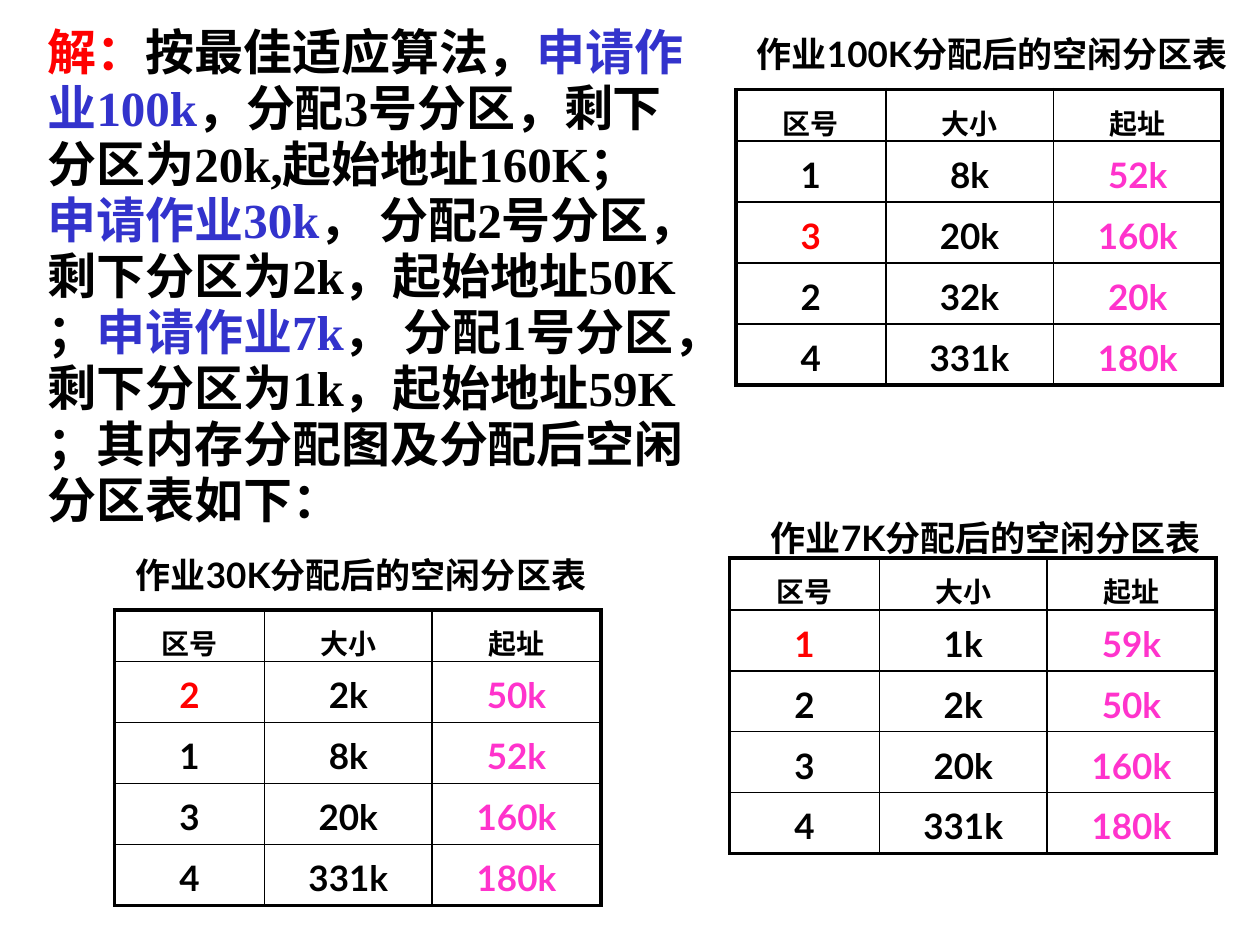
from lxml import etree
from pptx import Presentation
from pptx.dml.color import RGBColor
from pptx.enum import text
from pptx.oxml.ns import qn
from pptx.util import Inches, Pt

COLORS = {"black": "000000", "red": "FF0000", "blue": "3333CC", "pink": "FF33CC"}

SOLUTION = [
    ("解：", "red"),
    ("按最佳适应算法，", "black"),
    ("申请作业100k", "blue"),
    ("，分配3号分区，剩下分区为20k,起始地址160K；", "black"),
    (" 申请作业30k", "blue"),
    ("， 分配2号分区，剩下分区为2k，起始地址50K ；", "black"),
    ("申请作业7k", "blue"),
    ("， 分配1号分区，剩下分区为1k，起始地址59K ；"
     "其内存分配图及分配后空闲分区表如下：", "black"),
]

HEADER = ("区号", "大小", "起址")
# "changed" is the number of the partition that has just been split
FREE_TABLES = [
    {"title": "作业100K分配后的空闲分区表", "title_at": (5.63, 0.21),
     "table_at": (5.84, 0.71), "changed": "3",
     "rows": [("1", "8k", "52k"), ("3", "20k", "160k"),
              ("2", "32k", "20k"), ("4", "331k", "180k")]},
    {"title": "作业30K分配后的空闲分区表", "title_at": (0.62, 4.34),
     "table_at": (0.91, 4.84), "changed": "2",
     "rows": [("2", "2k", "50k"), ("1", "8k", "52k"),
              ("3", "20k", "160k"), ("4", "331k", "180k")]},
    {"title": "作业7K分配后的空闲分区表", "title_at": (5.58, 4.05),
     "table_at": (5.79, 4.43), "changed": "1",
     "rows": [("1", "1k", "59k"), ("2", "2k", "50k"),
              ("3", "20k", "160k"), ("4", "331k", "180k")]},
]
COLUMN_WIDTHS = (1.19, 1.33, 1.34)
HEADER_HEIGHT, ROW_HEIGHT = 0.41, 0.48
OUTER_LINE, INNER_LINE = 2.25, 1


def add_run(paragraph, words, size, color="black", font="Lato"):
    run = paragraph.add_run()
    run.text = words
    run.font.name = font
    run.font.size = Pt(size)
    run.font.bold = True
    run.font.color.rgb = RGBColor.from_string(COLORS[color])


def add_text_box(slide, left, top, width, height):
    """Add a wrapping text box and return its first paragraph."""
    box = slide.shapes.add_textbox(*map(Inches, (left, top, width, height)))
    box.text_frame.word_wrap = True
    return box.text_frame.paragraphs[0]


def set_borders(cell, outer_edges):
    """Draw all four edges, heavier where the flag (L, R, T, B) is true."""
    properties = cell._tc.get_or_add_tcPr()
    for edge, is_outer in zip("LRTB", outer_edges):
        width = Pt(OUTER_LINE if is_outer else INNER_LINE)
        line = etree.SubElement(properties, qn(f"a:ln{edge}"), w=str(int(width)))
        fill = etree.SubElement(line, qn("a:solidFill"))
        etree.SubElement(fill, qn("a:srgbClr"), val=COLORS["black"])


def cell_color(row, column, value, changed):
    if row == 0:
        return "black"
    if column == 2:
        return "pink"
    return "red" if column == 0 and value == changed else "black"


def add_free_table(slide, title, title_at, table_at, changed, rows):
    grid = [HEADER, *rows]
    heights = [HEADER_HEIGHT] + [ROW_HEIGHT] * len(rows)
    left, top = table_at
    table = slide.shapes.add_table(
        len(grid), len(HEADER), Inches(left), Inches(top),
        Inches(sum(COLUMN_WIDTHS)), Inches(sum(heights))).table
    table.first_row = table.horz_banding = False
    for column, width in zip(table.columns, COLUMN_WIDTHS):
        column.width = Inches(width)
    for row, height in zip(table.rows, heights):
        row.height = Inches(height)

    last_row, last_column = len(grid) - 1, len(HEADER) - 1
    for r, values in enumerate(grid):
        for c, value in enumerate(values):
            cell = table.cell(r, c)
            set_borders(cell, (c == 0, c == last_column, r == 0, r == last_row))
            cell.fill.background()
            paragraph = cell.text_frame.paragraphs[0]
            paragraph.alignment = text.PP_ALIGN.CENTER
            paragraph.line_spacing = 1.15
            add_run(paragraph, value, 16 if r == 0 else 20,
                    cell_color(r, c, value, changed))

    heading = add_text_box(slide, *title_at, 4.49, 0.43)
    heading.alignment = text.PP_ALIGN.CENTER
    add_run(heading, title, 20)


def main():
    presentation = Presentation()
    presentation.slide_width, presentation.slide_height = Inches(10), Inches(7.5)
    slide = presentation.slides.add_slide(presentation.slide_layouts[6])

    solution = add_text_box(slide, 0.28, 0.16, 5.36, 4.1)
    solution.line_spacing = 0.95
    for words, color in SOLUTION:
        add_run(solution, words, 28, color, "Times New Roman")

    for free_table in FREE_TABLES:
        add_free_table(slide, **free_table)
    presentation.save("out.pptx")


if __name__ == "__main__":
    main()
